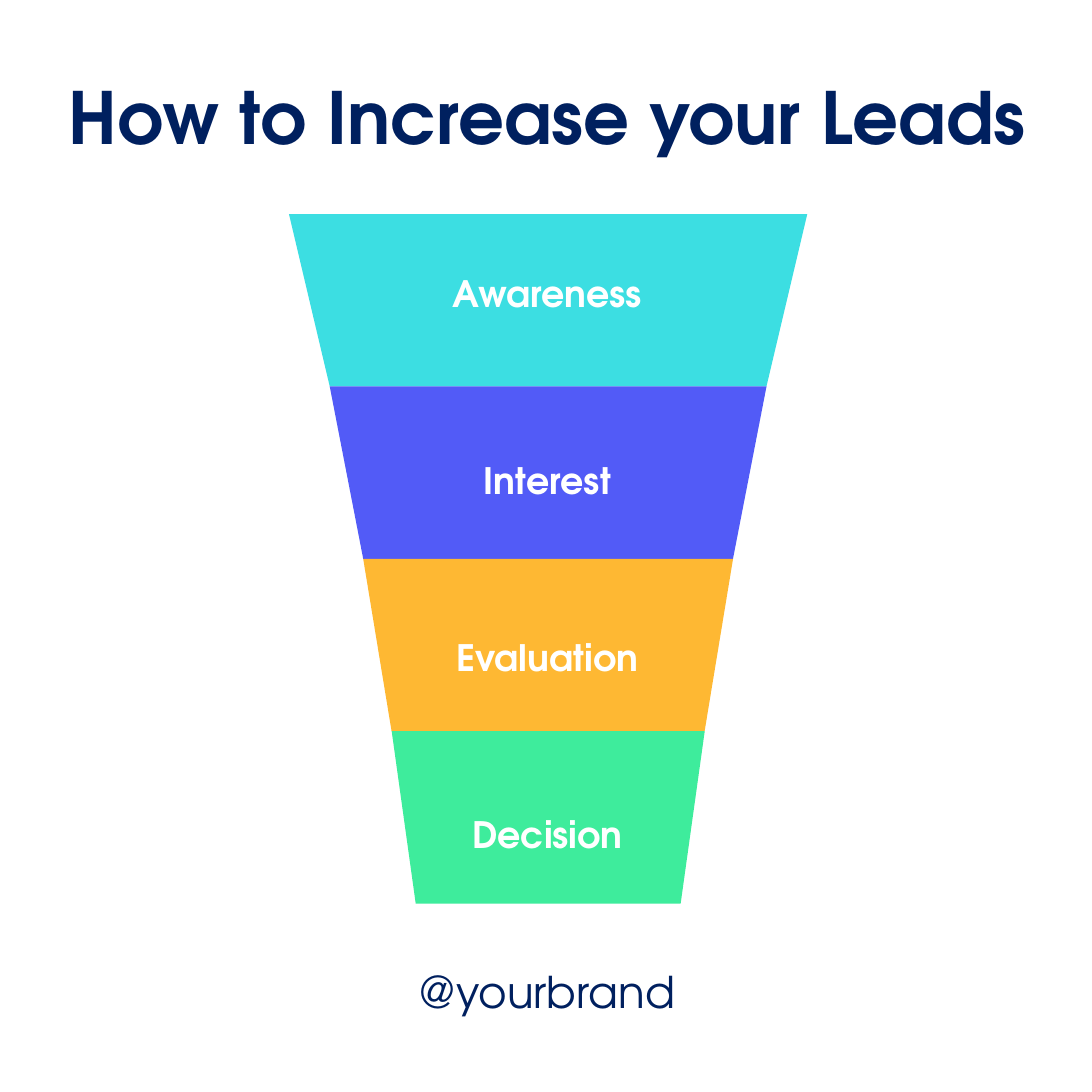
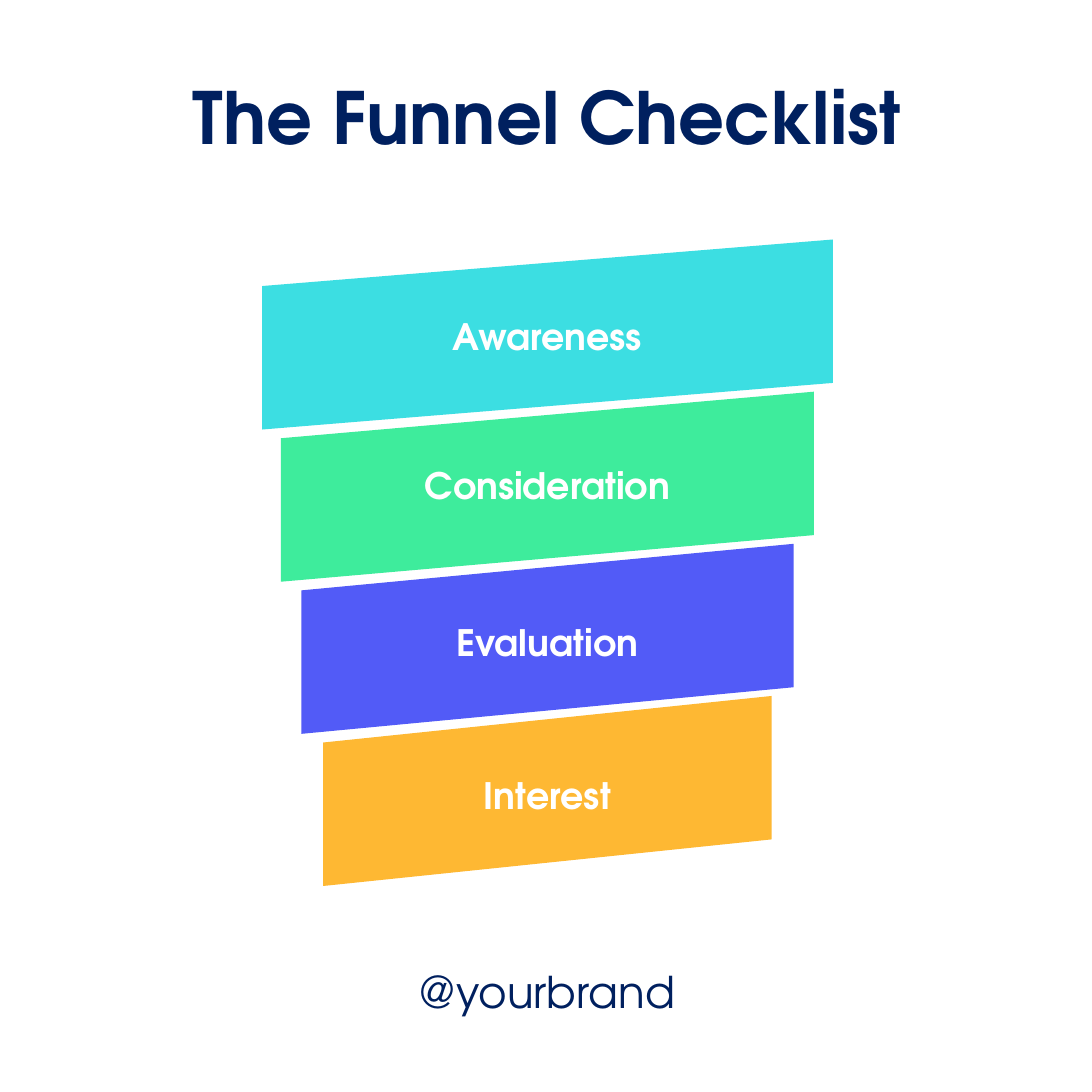
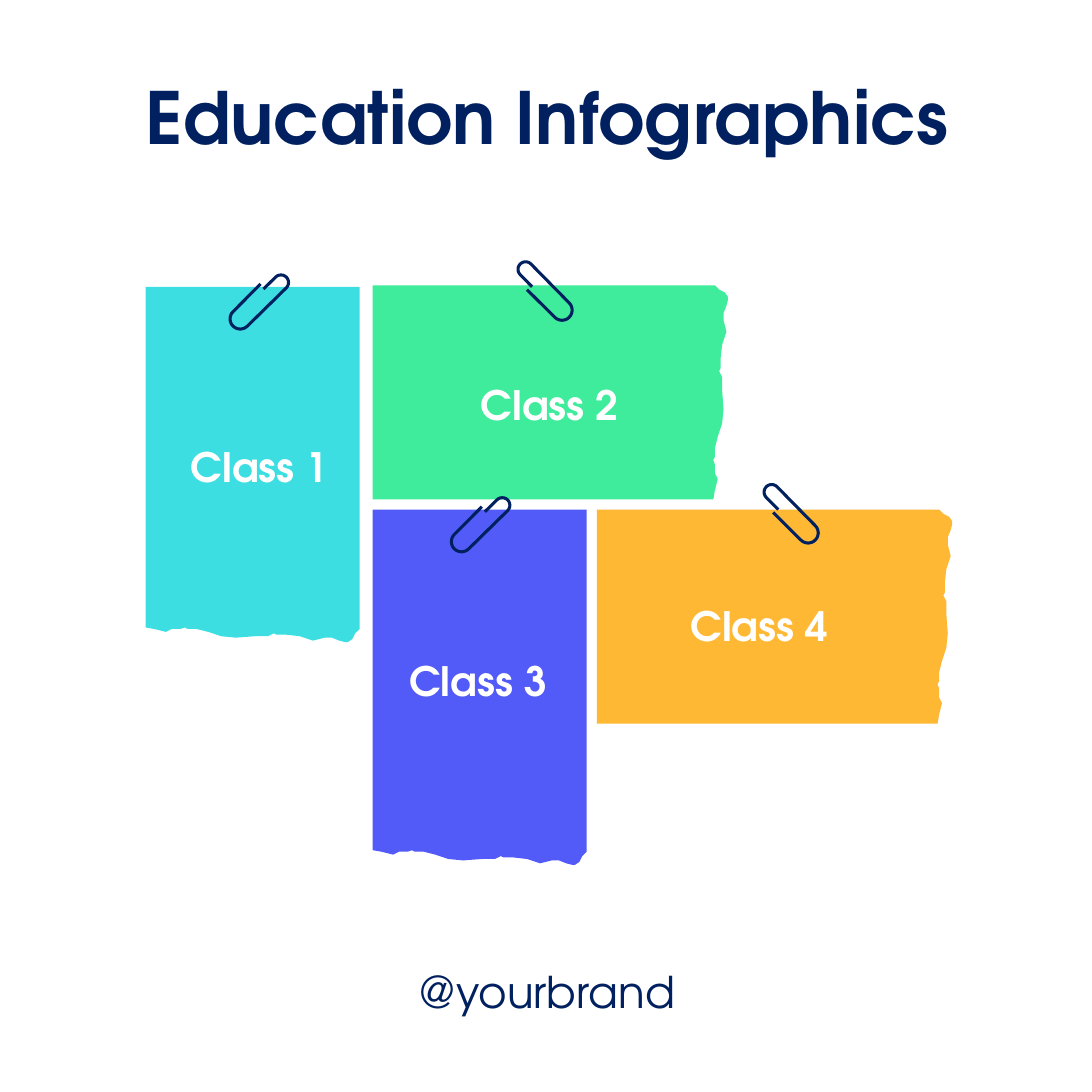
import math

from pptx import Presentation
from pptx.dml.color import RGBColor
from pptx.enum.text import MSO_ANCHOR, MSO_AUTO_SIZE, PP_ALIGN
from pptx.util import Inches, Pt

CENTER = PP_ALIGN.CENTER
TOP = MSO_ANCHOR.TOP
GROW = MSO_AUTO_SIZE.SHAPE_TO_FIT_TEXT

# Shared look
NAVY = RGBColor(0x00, 0x20, 0x5F)
CYAN = RGBColor(0x3C, 0xDE, 0xE2)
INDIGO = RGBColor(0x52, 0x5B, 0xF7)
AMBER = RGBColor(0xFE, 0xB8, 0x33)
GREEN = RGBColor(0x3E, 0xEC, 0x9C)
WHITE = RGBColor(0xFF, 0xFF, 0xFF)
FONT = "TeX Gyre Adventor"

# Square slide on a grid of 75 by 75 cells
SIDE = Inches(7.5)
CELL = SIDE / 75
MIDDLE = 37.6


def write_text(shape, text, *, left, top, width, height, size, color=WHITE, bold=True):
    """Place a shape, in cells, and fill it with one centred line."""
    shape.left, shape.top = round(left * CELL), round(top * CELL)
    shape.width, shape.height = round(width * CELL), round(height * CELL)
    frame = shape.text_frame
    frame.word_wrap = True
    frame.auto_size = GROW
    frame.vertical_anchor = TOP
    frame.text = text
    paragraph = frame.paragraphs[0]
    paragraph.alignment = CENTER
    paragraph.font.name = FONT
    paragraph.font.size = Pt(size)
    paragraph.font.bold = bold
    paragraph.font.color.rgb = color


def draw_outline(slide, points, color, *, left=0, top=0, filled=True):
    """Draw points, in cells, as a filled outline or as an open line."""
    corners = [(round((left + x) * CELL), round((top + y) * CELL)) for x, y in points]
    builder = slide.shapes.build_freeform(*corners[0])
    builder.add_line_segments(corners[1:], close=filled)
    shape = builder.convert_to_shape()
    shape.shadow.inherit = False
    if filled:
        shape.fill.solid()
        shape.fill.fore_color.rgb = color
        shape.line.fill.background()
    else:
        shape.fill.background()
        shape.line.color.rgb = color
        shape.line.width = Pt(1.5)


presentation = Presentation()
presentation.slide_width = presentation.slide_height = SIDE
title_layout = presentation.slide_layouts.get_by_name("Title Only")

# Title and footer of every slide
slides = []
for title in ("How to Increase your Leads", "The Funnel Checklist", "Education Infographics"):
    slide = presentation.slides.add_slide(title_layout)
    write_text(slide.shapes.title, title, left=MIDDLE - 34.5, top=4.5,
               width=69, height=7, size=35.6, color=NAVY)
    write_text(slide.shapes.add_textbox(0, 0, 0, 0), "@yourbrand", left=MIDDLE - 13.8,
               top=65.8, width=27.5, height=4.6, size=21.6, color=NAVY, bold=False)
    slides.append(slide)
funnel_slide, checklist_slide, education_slide = slides

# Funnel: each stage narrows to the width of the next one
FUNNEL_TOP, STAGE_HEIGHT = 14.7, 11.84
stage_widths = [35.6, 30, 25.4, 21.5, 18.2]
stages = [
    ("Awareness", CYAN, 18.1),
    ("Interest", INDIGO, 31),
    ("Evaluation", AMBER, 43.1),
    ("Decision", GREEN, 55.3),
]
for row, (label, color, label_top) in enumerate(stages):
    upper, lower = stage_widths[row] / 2, stage_widths[row + 1] / 2
    outline = [(-upper, 0), (upper, 0), (lower, STAGE_HEIGHT), (-lower, STAGE_HEIGHT)]
    draw_outline(funnel_slide, outline, color, left=MIDDLE + 0.05,
                 top=FUNNEL_TOP + row * STAGE_HEIGHT)
    write_text(funnel_slide.shapes.add_textbox(0, 0, 0, 0), label, left=MIDDLE - 10.3,
               top=label_top, width=20.6, height=4, size=18)

# Checklist: slanted bands with equal gaps
BAND_TOP, BAND_STEP, BAND_HEIGHT, SLANT = 16.45, 10.45, 9.85, 3.2
bands = [
    ("Awareness", CYAN, 39.2, 21.1),
    ("Consideration", GREEN, 36.6, 31.3),
    ("Evaluation", INDIGO, 33.8, 42.1),
    ("Interest", AMBER, 30.8, 52.6),
]
for row, (label, color, width, label_top) in enumerate(bands):
    outline = [(0, SLANT), (width, 0), (width, BAND_HEIGHT), (0, BAND_HEIGHT + SLANT)]
    draw_outline(checklist_slide, outline, color, left=MIDDLE - width / 2,
                 top=BAND_TOP + row * BAND_STEP)
    write_text(checklist_slide.shapes.add_textbox(0, 0, 0, 0), label, left=MIDDLE - 10.3,
               top=label_top, width=20.6, height=4, size=18)

# Upright sheet of paper, torn along the bottom
PAPER_WIDTH, CLIP_WIDTH = 14.7, 4.2
torn_edge = [
    (14.7, 23.5), (14.4, 23.8), (14.2, 24.2), (13.9, 24.4), (13.7, 24.4), (13.3, 24.3),
    (12.8, 24.1), (12.3, 24.1), (11.9, 24.2), (11.5, 24.3), (10.6, 24), (9.7, 23.9),
    (9, 23.9), (8.8, 23.8), (8.4, 24), (7.5, 24), (6.2, 24.1), (5.2, 24), (4.3, 23.7),
    (3.5, 23.5), (2.9, 23.5), (2.7, 23.4), (2.4, 23.5), (1.8, 23.5), (1.4, 23.7),
    (0.6, 23.5), (0, 23.4),
]
paper = [(0, 0), (PAPER_WIDTH, 0)] + torn_edge

# Paper clip: a wire with a half circle at each end
clip = [(2.4, 1.15)]
for center_x, center_y, radius, start in ((3.6, 0.7, 0.52, 225), (0.8, 3.2, 0.7, 45)):
    for step in range(13):
        angle = math.radians(start + 15 * step)
        clip.append((center_x + radius * math.cos(angle), center_y + radius * math.sin(angle)))
clip.append((2.2, 0.8))

# Sheets: name, colour, lying on the side, then places of paper, clip and label
sheets = [
    ("Class 1", CYAN, False, (10, 19.7), (15.7, 18.7), (9.6, 29.9)),
    ("Class 2", GREEN, True, (25.6, 19.6), (35.4, 17.9), (29.5, 25.6)),
    ("Class 3", INDIGO, False, (25.6, 35), (30.9, 34), (24.6, 44.6)),
    ("Class 4", AMBER, True, (41, 35), (52.3, 33.2), (43.9, 40.8)),
]
for label, color, lying, paper_place, clip_place, label_place in sheets:
    paper_points, clip_points = paper, clip
    if lying:
        paper_points = [(y, PAPER_WIDTH - x) for x, y in paper]
        clip_points = [(y, CLIP_WIDTH - x) for x, y in clip]
    draw_outline(education_slide, paper_points, color, left=paper_place[0], top=paper_place[1])
    draw_outline(education_slide, clip_points, NAVY, left=clip_place[0], top=clip_place[1],
                 filled=False)
    write_text(education_slide.shapes.add_textbox(0, 0, 0, 0), label, left=label_place[0],
               top=label_place[1], width=16.5, height=4.4, size=20)

presentation.save("out.pptx")
